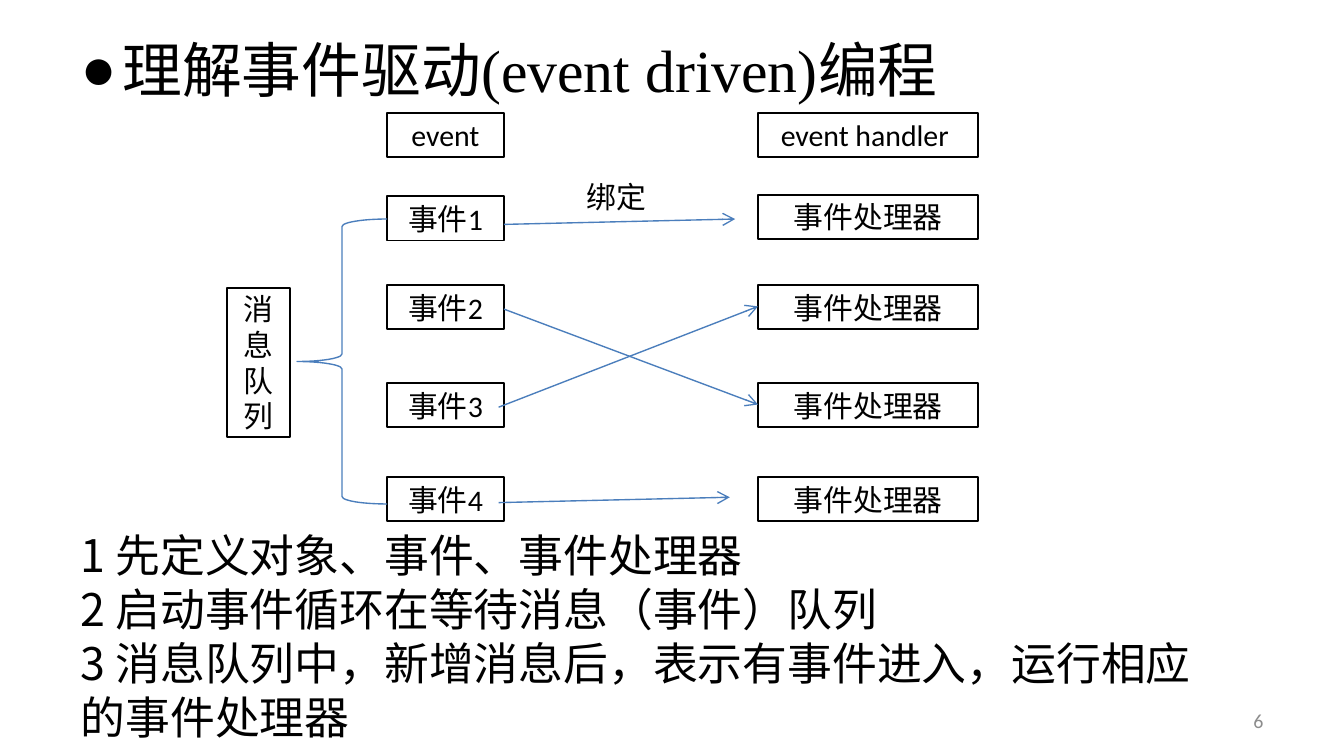
from dataclasses import dataclass
from typing import NamedTuple

from lxml.etree import SubElement
from pptx import Presentation
from pptx.dml.color import RGBColor
from pptx.enum.shapes import MSO_CONNECTOR as Connector, MSO_SHAPE as Preset
from pptx.enum.text import MSO_ANCHOR as Anchor, MSO_AUTO_SIZE as AutoSize, PP_ALIGN as Align
from pptx.oxml.ns import qn
from pptx.util import Inches, Pt


@dataclass(frozen=True)
class Theme:
    ink: RGBColor = RGBColor(0, 0, 0)
    accent: RGBColor = RGBColor(0x4B, 0x7E, 0xBC)
    muted: RGBColor = RGBColor(0x8C, 0x8C, 0x8C)
    heading_font: str = "Times New Roman"
    list_font: str = "Noto Sans CJK SC"
    label_font: str = "Calibri"
    heading_size: float = 32
    list_size: float = 24
    label_size: float = 16
    number_size: float = 10.7
    box_line: float = 1
    link_line: float = 0.75


class Area(NamedTuple):
    left: float
    top: float
    width: float
    height: float

    def lengths(self) -> list:
        return [Inches(value) for value in self]


class Binding(NamedTuple):
    x1: float
    y1: float
    x2: float
    y2: float


THEME = Theme()
BOX_HEIGHT = 0.33
EVENT_LEFT, EVENT_WIDTH = 2.88, 0.87
HANDLER_LEFT, HANDLER_WIDTH = 5.64, 1.64
HEADER_TOP = 0.84
ROWS = [(1.46, 1.45), (2.12, 2.12), (2.85, 2.85), (3.55, 3.55)]
BINDINGS = [
    Binding(3.75, 1.67, 5.47, 1.63),
    Binding(3.75, 2.30, 5.64, 3.01),
    Binding(3.71, 3.03, 5.64, 2.28),
    Binding(3.71, 3.74, 5.43, 3.70),
]
STEPS = [
    "1 先定义对象、事件、事件处理器",
    "2 启动事件循环在等待消息（事件）队列",
    "3 消息队列中，新增消息后，表示有事件进入，运行相应的事件处理器",
]


def style(paragraph, name: str, size: float, color: RGBColor, align: Align) -> None:
    paragraph.alignment = align
    paragraph.font.name = name
    paragraph.font.size = Pt(size)
    paragraph.font.color.rgb = color


def set_bullet(paragraph, indent: float, char: str = "") -> None:
    """Hang the paragraph on a bullet, or clear its bullet when char is empty."""
    properties = paragraph._p.get_or_add_pPr()
    properties.set("marL", str(Inches(indent)))
    properties.set("indent", str(-Inches(indent)))
    if char:
        SubElement(properties, qn("a:buFont"), typeface="Arial")
        SubElement(properties, qn("a:buChar"), char=char)
    else:
        SubElement(properties, qn("a:buNone"))


def place(placeholder, area: Area):
    placeholder.left, placeholder.top, placeholder.width, placeholder.height = area.lengths()
    frame = placeholder.text_frame
    frame.auto_size = AutoSize.NONE
    frame.word_wrap = True
    frame.vertical_anchor = Anchor.TOP
    return frame


def write_label(frame, text: str, size: float = THEME.label_size,
                color: RGBColor = THEME.ink, align: Align = Align.CENTER) -> None:
    frame.word_wrap = True
    frame.vertical_anchor = Anchor.MIDDLE
    frame.text = text
    style(frame.paragraphs[0], THEME.label_font, size, color, align)


def add_outline(slide, preset: Preset, area: Area, color: RGBColor, width: float):
    shape = slide.shapes.add_shape(preset, *area.lengths())
    shape.shadow.inherit = False
    shape.fill.background()
    shape.line.color.rgb = color
    shape.line.width = Pt(width)
    return shape


def add_box(slide, text: str, area: Area) -> None:
    box = add_outline(slide, Preset.RECTANGLE, area, THEME.ink, THEME.box_line)
    write_label(box.text_frame, text)


def add_pair(slide, event: str, event_top: float, handler: str, handler_top: float) -> None:
    add_box(slide, event, Area(EVENT_LEFT, event_top, EVENT_WIDTH, BOX_HEIGHT))
    add_box(slide, handler, Area(HANDLER_LEFT, handler_top, HANDLER_WIDTH, BOX_HEIGHT))


def add_arrow(slide, binding: Binding) -> None:
    arrow = slide.shapes.add_connector(Connector.STRAIGHT, *[Inches(v) for v in binding])
    arrow.line.color.rgb = THEME.accent
    arrow.line.width = Pt(THEME.link_line)
    line_properties = arrow._element.spPr.find(qn("a:ln"))
    SubElement(line_properties, qn("a:tailEnd"), type="arrow")
    SubElement(arrow._element.spPr, qn("a:effectLst"))


def add_heading(slide) -> None:
    frame = place(slide.shapes.title, Area(0.5, -0.07, 6.59, 0.91))
    frame.text = "理解事件驱动(event driven)编程"
    heading = frame.paragraphs[0]
    heading.line_spacing = 1.5
    set_bullet(heading, 0.31, "●")
    style(heading, THEME.heading_font, THEME.heading_size, THEME.ink, Align.LEFT)


def add_steps(slide) -> None:
    frame = place(slide.placeholders[1], Area(0.5, 3.88, 8.71, 1.72))
    frame.text = "\n".join(STEPS)
    for step in frame.paragraphs:
        step.space_before = Pt(0)
        set_bullet(step, 0)
        style(step, THEME.list_font, THEME.list_size, THEME.ink, Align.LEFT)


def add_diagram(slide) -> None:
    add_pair(slide, "event", HEADER_TOP, "event handler ", HEADER_TOP)
    for number, (event_top, handler_top) in enumerate(ROWS, start=1):
        add_pair(slide, f"事件{number}", event_top, "事件处理器", handler_top)
    for binding in BINDINGS:
        add_arrow(slide, binding)
    binding_label = slide.shapes.add_textbox(*Area(3.79, 1.3, 1.64, BOX_HEIGHT).lengths())
    write_label(binding_label.text_frame, "绑定 ")
    add_outline(slide, Preset.LEFT_BRACE, Area(2.21, 1.63, 0.67, 2.12),
                THEME.accent, THEME.link_line)
    add_box(slide, "消息队列", Area(1.69, 2.14, 0.47, 1.11))


def main() -> None:
    deck = Presentation()
    deck.slide_width = Inches(10)
    deck.slide_height = Inches(10 * 9 / 16)
    slide = deck.slides.add_slide(deck.slide_layouts[1])
    add_heading(slide)
    add_diagram(slide)
    add_steps(slide)
    page_number = slide.shapes.add_textbox(*Area(7.17, 5.21, 2.33, 0.3).lengths())
    write_label(page_number.text_frame, "6", THEME.number_size, THEME.muted, Align.RIGHT)
    deck.save("out.pptx")


if __name__ == "__main__":
    main()
